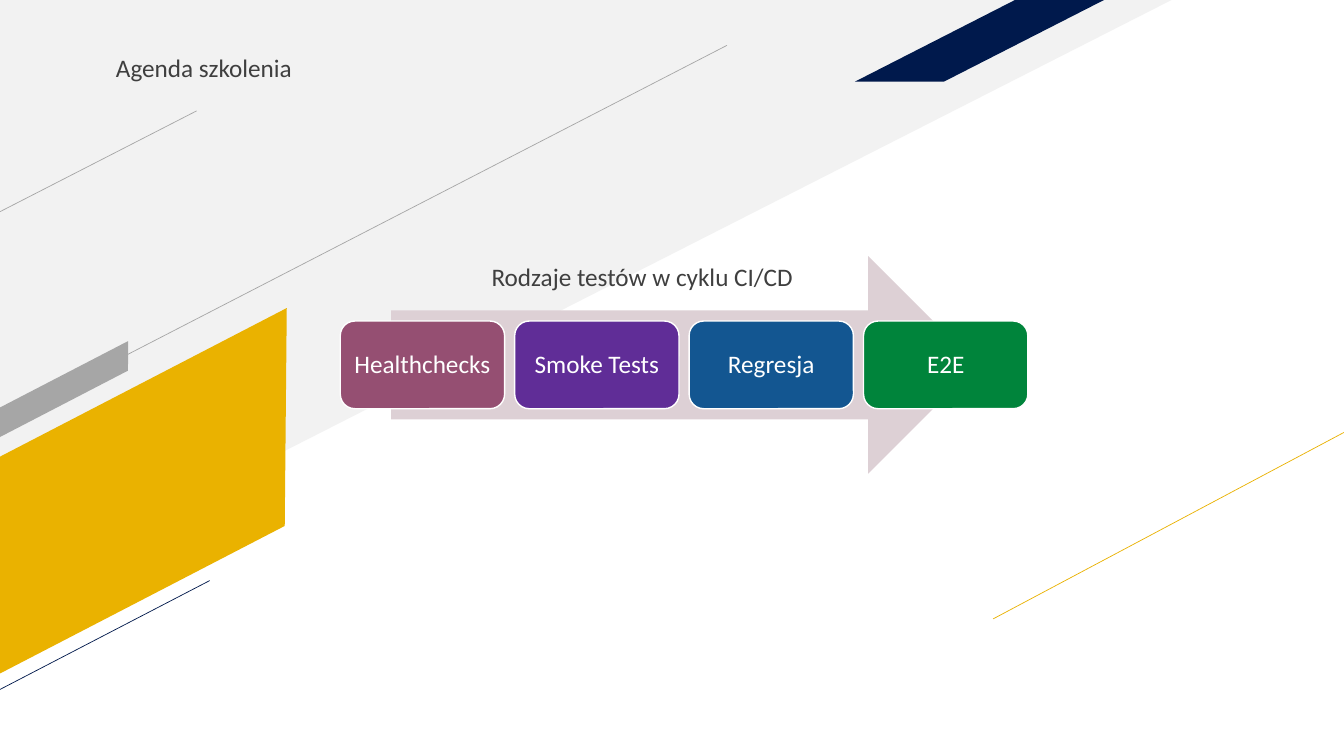
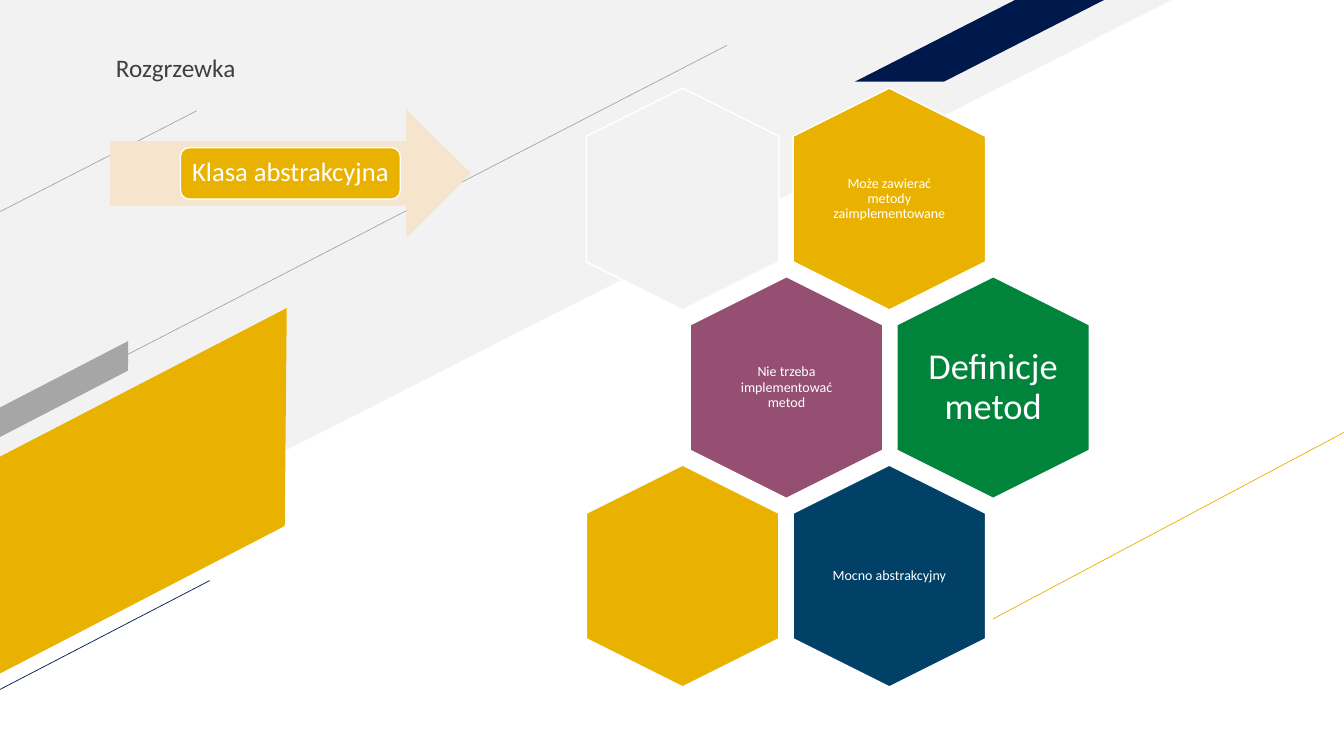
from lxml.etree import SubElement
from pptx import Presentation
from pptx.dml.color import RGBColor
from pptx.enum.shapes import MSO_CONNECTOR, MSO_SHAPE
from pptx.enum.text import MSO_ANCHOR, MSO_AUTO_SIZE, PP_ALIGN
from pptx.oxml.ns import qn
from pptx.util import Pt

PX = 9144  # 100 px to the inch
SLIDE_SIZE = (1333, 750)
TITLE_BOX = (105, 47, 314, 40)
FONT = "Calibri"

WHITE = "FFFFFF"
PALE = "F2F2F2"
GREY = "A6A6A6"
INK = "3F3F3F"
GOLD = "EAB200"
NAVY = "00194C"
PLUM = "954F72"
PURPLE = "602D97"
BLUE = "135691"
GREEN = "00843B"
DEEP_BLUE = "014067"


def emu(*lengths):
    return [round(length * PX) for length in lengths]


def rgb(color):
    return RGBColor.from_string(color)


def add_block(slide, preset, box, fill, outline=None, rotation=0, adjust=None):
    block = slide.shapes.add_shape(preset, *emu(*box))
    block.shadow.inherit = False
    block.fill.solid()
    block.fill.fore_color.rgb = rgb(fill)
    if outline:
        block.line.color.rgb = rgb(outline)
        block.line.width = Pt(1)
    else:
        block.line.fill.background()
    block.rotation = rotation
    if adjust is not None:
        block.adjustments[0] = adjust
    return block


def add_rule(slide, start, end, color):
    rule = slide.shapes.add_connector(MSO_CONNECTOR.STRAIGHT, *emu(*start, *end))
    rule.line.color.rgb = rgb(color)
    rule.line.width = Pt(0.5)
    SubElement(rule.element.spPr, qn("a:effectLst"))
    return rule


def write(shape, text, size, color, align=PP_ALIGN.CENTER, anchor=MSO_ANCHOR.MIDDLE,
          inset=None, wrap=True, spacing=1.0):
    frame = shape.text_frame
    frame.text = text
    frame.word_wrap = wrap
    frame.auto_size = MSO_AUTO_SIZE.NONE
    frame.vertical_anchor = anchor
    if inset is not None:
        margin = inset * PX
        frame.margin_left = frame.margin_right = margin
        frame.margin_top = frame.margin_bottom = margin
    paragraph = frame.paragraphs[0]
    paragraph.alignment = align
    paragraph.line_spacing = spacing
    for run in paragraph.runs:
        run.font.name = FONT
        run.font.size = Pt(size)
        run.font.color.rgb = rgb(color)


def draw_backdrop(slide):
    """Draw the diagonal bands and rules, and return them from back to front."""
    corner = add_block(slide, MSO_SHAPE.RIGHT_TRIANGLE, (0, 0, 1162, 591), PALE)
    corner.element.spPr.find(qn("a:xfrm")).set("flipV", "1")
    band = MSO_SHAPE.PARALLELOGRAM
    return [
        corner,
        add_block(slide, band, (-70, 392, 422, 191), GOLD, rotation=332.6, adjust=0.53),
        add_rule(slide, (0, 210), (195, 110), GREY),
        add_rule(slide, (985, 614), (1333, 429), GOLD),
        add_block(slide, band, (848, 0, 247, 81), NAVY, adjust=1.96),
        add_rule(slide, (0, 417), (721, 45), GREY),
        add_rule(slide, (-2, 685), (208, 576), NAVY),
        add_block(slide, band, (-15, 373, 157, 26), GREY, rotation=332.6, adjust=0.53),
    ]


def move_to_layout(parts, layout):
    """Place the parts behind the layout title, so that every slide shares them."""
    for placeholder in list(layout.placeholders)[1:]:
        placeholder.element.getparent().remove(placeholder.element)
    title = layout.placeholders[0].element
    for part in parts:
        title.addprevious(part.element)


def add_titled_slide(deck, layout, title):
    slide = deck.slides.add_slide(layout)
    heading = slide.shapes.title
    heading.left, heading.top, heading.width, heading.height = emu(*TITLE_BOX)
    write(heading, title, 18, INK, PP_ALIGN.LEFT, MSO_ANCHOR.TOP)
    return slide


def draw_process(slide, box, arrow_color, steps, step_size, gap, text_size):
    """Draw an arrow in the box with a row of steps centred on it."""
    left, top, width, height = box
    step_width, step_height = step_size
    add_block(slide, MSO_SHAPE.RIGHT_ARROW, box, arrow_color)
    row_width = len(steps) * (step_width + gap) - gap
    row_left = left + (width - row_width) / 2
    row_top = top + (height - step_height) / 2
    for index, (label, fill) in enumerate(steps):
        step_left = row_left + index * (step_width + gap)
        step = add_block(slide, MSO_SHAPE.ROUNDED_RECTANGLE,
                         (step_left, row_top, step_width, step_height), fill, WHITE)
        write(step, label, text_size, WHITE, inset=7, wrap=False, spacing=0.9)


def draw_honeycomb(slide, left, top, rows):
    """Draw rows of upright hexagons; each odd row moves half a cell right."""
    cell_width, cell_height = 220, 191
    text_width, text_height = 132, 151
    column_step, row_step, stagger = 205, 187, 103
    for row, cells in enumerate(rows):
        for column, (label, size, fill) in enumerate(cells):
            x = left + column * column_step + row % 2 * stagger
            y = top + row * row_step
            add_block(slide, MSO_SHAPE.HEXAGON, (x, y, cell_width, cell_height),
                      fill, WHITE, rotation=90, adjust=0.25)
            if label:
                text_box = slide.shapes.add_textbox(*emu(
                    x + (cell_width - text_width) / 2,
                    y + (cell_height - text_height) / 2,
                    text_width, text_height))
                write(text_box, label, size, WHITE,
                      inset=4 if size < 20 else 0, spacing=0.9)


def fill_agenda(slide):
    arrow_box = left, top, width, _ = (388, 254, 581, 216)
    steps = [("Healthchecks", PLUM), ("Smoke Tests", PURPLE),
             ("Regresja", BLUE), ("E2E", GREEN)]
    draw_process(slide, arrow_box, "DDD0D5", steps, (163, 87), 10, 18)
    caption = slide.shapes.add_textbox(*emu(left + 59, top, width - 201, 40))
    write(caption, "Rodzaje testów w cyklu CI/CD", 18, INK, anchor=MSO_ANCHOR.TOP)


def fill_warm_up(slide):
    draw_process(slide, (109, 108, 358, 128), "F7E4CC",
                 [("Klasa abstrakcyjna", GOLD)], (218, 51), 0, 19)
    draw_honeycomb(slide, 567, 102, [
        [("", 10, PALE), ("Może zawierać metody zaimplementowane", 10, GOLD)],
        [("Nie trzeba implementować metod", 10, PLUM), ("Definicje metod", 26, GREEN)],
        [("", 10, GOLD), ("Mocno abstrakcyjny", 10, DEEP_BLUE)],
    ])


def main():
    deck = Presentation()
    deck.slide_width, deck.slide_height = emu(*SLIDE_SIZE)
    layout = deck.slide_layouts.get_by_name("Title Only")
    agenda = add_titled_slide(deck, layout, "Agenda szkolenia")
    move_to_layout(draw_backdrop(agenda), layout)
    fill_agenda(agenda)
    fill_warm_up(add_titled_slide(deck, layout, "Rozgrzewka"))
    deck.save("out.pptx")


if __name__ == "__main__":
    main()
